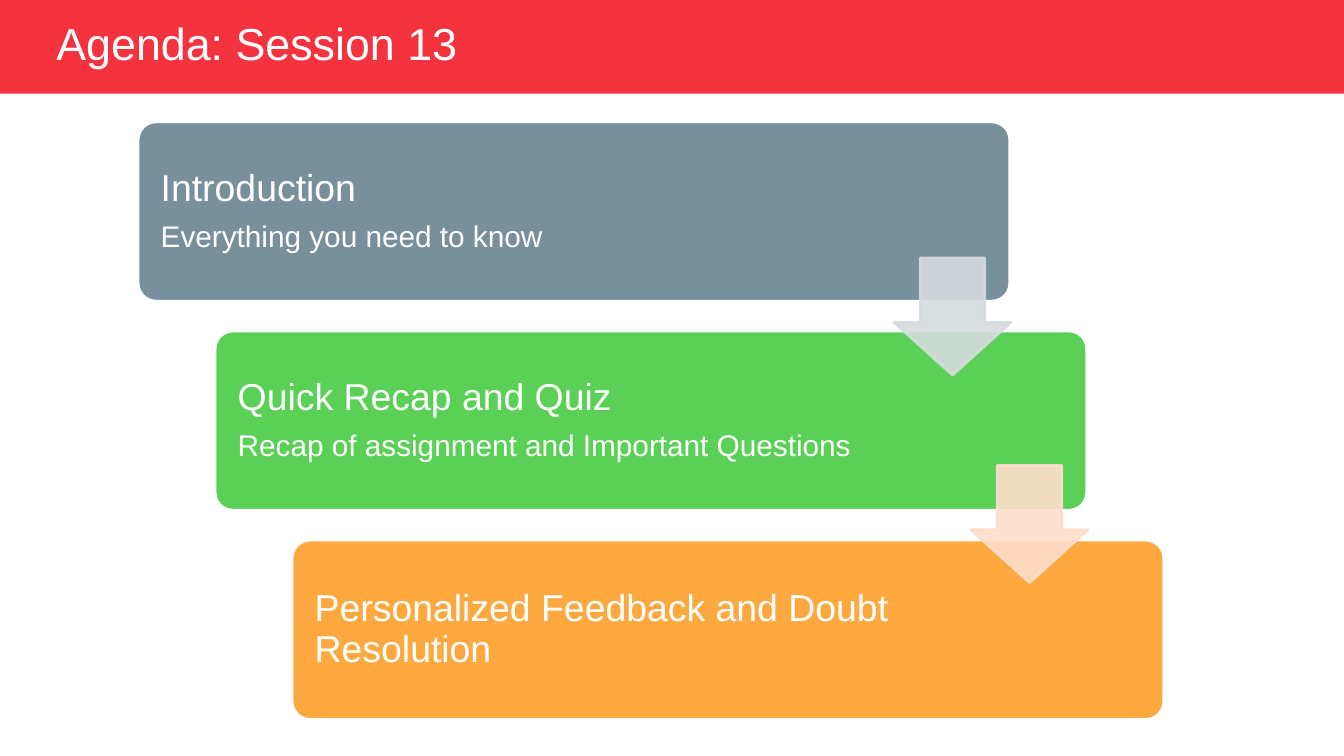
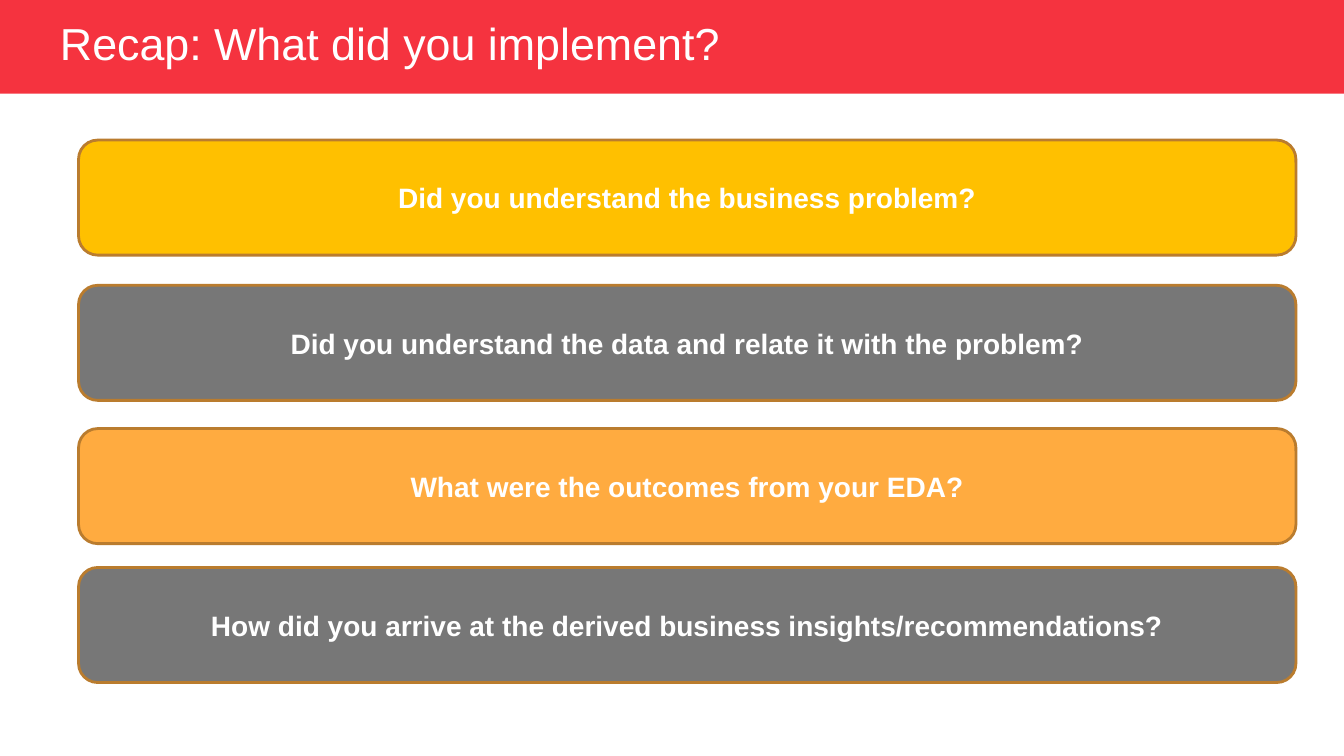
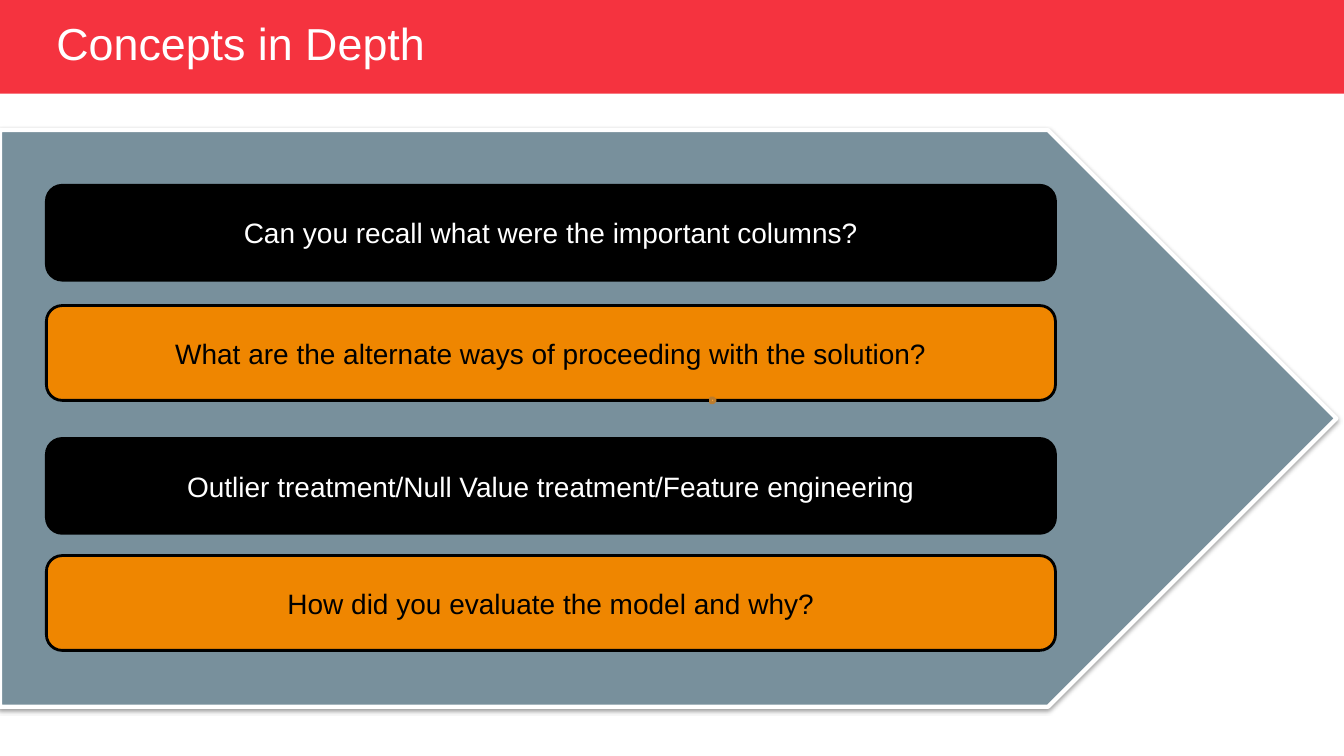
"""Build the three session slides: agenda, recap and concepts."""
from lxml.etree import SubElement
from pptx import Presentation
from pptx.dml.color import RGBColor
from pptx.enum.shapes import MSO_SHAPE as Shape
from pptx.enum.text import MSO_ANCHOR as Anchor, MSO_AUTO_SIZE as AutoSize, PP_ALIGN as Align
from pptx.oxml.ns import qn
from pptx.util import Cm, Pt

FONT = "Arial"
WHITE, BLACK = "FFFFFF", "000000"
RED, SLATE, GREEN, ORANGE = "F5333F", "78909C", "5AD156", "FEA93F"
YELLOW, GREY, AMBER, BROWN, DARK_ORANGE = "FFC000", "777777", "FFAB40", "BA7C2E", "EF8600"


def draw(page, kind, area, fill, line, weight=2, adjustments=()):
    shape = page.shapes.add_shape(kind, *[Cm(length) for length in area])
    shape.shadow.inherit = False
    shape.fill.solid()
    shape.fill.fore_color.rgb = RGBColor.from_string(fill)
    shape.line.color.rgb = RGBColor.from_string(line)
    shape.line.width = Pt(weight)
    for index, value in enumerate(adjustments):
        shape.adjustments[index] = value
    return shape


def write(para, text, size, color, align=Align.LEFT, spacing=1.0, bold=False):
    para.alignment = align
    para.line_spacing = spacing
    span = para.add_run()
    span.text = text
    span.font.name = FONT
    span.font.size = Pt(size)
    span.font.bold = bold
    span.font.color.rgb = RGBColor.from_string(color)


deck = Presentation()
deck.slide_width, deck.slide_height = Cm(33.87), Cm(19.05)
layout = deck.slide_layouts[5]

title_area = layout.placeholders[0]
title_area.left, title_area.top = Cm(1.17), Cm(0.46)
title_area.width, title_area.height = Cm(25.2), Cm(1.42)
title_area.text_frame.vertical_anchor = Anchor.MIDDLE
title_area.text_frame.auto_size = AutoSize.NONE

pages = []
for heading, inset in [
    ("Agenda: Session 13", 0.25),
    ("Recap: What did you implement?", 0.34),
    ("Concepts in Depth", 0.25),
]:
    page = deck.slides.add_slide(layout)
    title = page.shapes.title.text_frame
    title.margin_left = Cm(inset)
    write(title.paragraphs[0], heading, 32, WHITE, spacing=0.9)
    pages.append(page)
agenda, recap, concepts = pages

band = draw(agenda, Shape.RECTANGLE, (0, 0, 33.87, 2.36), RED, RED)
band.line.fill.background()
layout.shapes.element.insert(2, band.element)

steps = [
    (SLATE, ["Introduction", "Everything you need to know"]),
    (GREEN, ["Quick Recap and Quiz", "Recap of assignment and Important Questions"]),
    (ORANGE, ["Personalized Feedback and Doubt Resolution"]),
]
for row, (fill, lines) in enumerate(steps):
    area = (3.48 + 1.94 * row, 3.07 + 5.27 * row, 21.97, 4.52)
    step = draw(agenda, Shape.ROUNDED_RECTANGLE, area, fill, WHITE, adjustments=[0.1])
    frame = step.text_frame
    frame.word_wrap = True
    frame.vertical_anchor = Anchor.MIDDLE
    frame.margin_left = frame.margin_top = frame.margin_bottom = Cm(0.44)
    frame.margin_right = Cm(5.3)
    write(frame.paragraphs[0], lines[0], 26.7, WHITE, spacing=0.9)
    for text in lines[1:]:
        para = frame.add_paragraph()
        para.space_before = Pt(9.3)
        write(para, text, 21.3, WHITE, spacing=0.9)

for row, color in enumerate(["D5DBDD", "FEDECB"]):
    area = (22.53 + 1.94 * row, 6.5 + 5.23 * row, 2.95, 2.95)
    arrow = draw(agenda, Shape.DOWN_ARROW, area, color, color, adjustments=[0.55, 0.45])
    for tint in arrow.element.iter(qn("a:srgbClr")):
        SubElement(tint, qn("a:alpha"), val="90000")

pentagon = draw(concepts, Shape.PENTAGON, (0, 3.28, 33.68, 14.53), SLATE, WHITE, 3, [0.5])
effects = pentagon.element.spPr.find(qn("a:effectLst"))
shadow = SubElement(effects, qn("a:outerShdw"), blurRad="39370", dist="20320",
                    dir="5400000", rotWithShape="0")
SubElement(SubElement(shadow, qn("a:srgbClr"), val=BLACK), qn("a:alpha"), val="38000")

card_groups = [
    (recap, 1.98, 30.68, 2.9, BROWN, True, [
        (3.53, YELLOW, WHITE, "Did you understand the business problem?"),
        (7.19, GREY, WHITE, "Did you understand the data and relate it with the problem?"),
        (10.8, AMBER, WHITE, "What were the outcomes from your EDA?"),
        (14.3, GREY, WHITE,
         "How did you arrive at the derived business insights/recommendations?"),
    ]),
    (concepts, 1.17, 25.43, 2.39, BLACK, False, [
        (4.67, BLACK, WHITE, "Can you recall what were the important columns?"),
        (7.7, DARK_ORANGE, BLACK,
         "What are the alternate ways of proceeding with the solution?"),
        (11.05, BLACK, WHITE, "Outlier treatment/Null Value treatment/Feature engineering"),
        (14, DARK_ORANGE, BLACK, "How did you evaluate the model and why?"),
    ]),
]
for page, left, width, height, line, bold, cards in card_groups:
    for top, fill, color, text in cards:
        card = draw(page, Shape.ROUNDED_RECTANGLE, (left, top, width, height), fill, line)
        card.text_frame.word_wrap = True
        card.text_frame.vertical_anchor = Anchor.MIDDLE
        write(card.text_frame.paragraphs[0], text, 20, color, Align.CENTER, bold=bold)

draw(concepts, Shape.PENTAGON, (17.91, 10.03, 0.12, 0.12), AMBER, BROWN)

deck.save("out.pptx")
